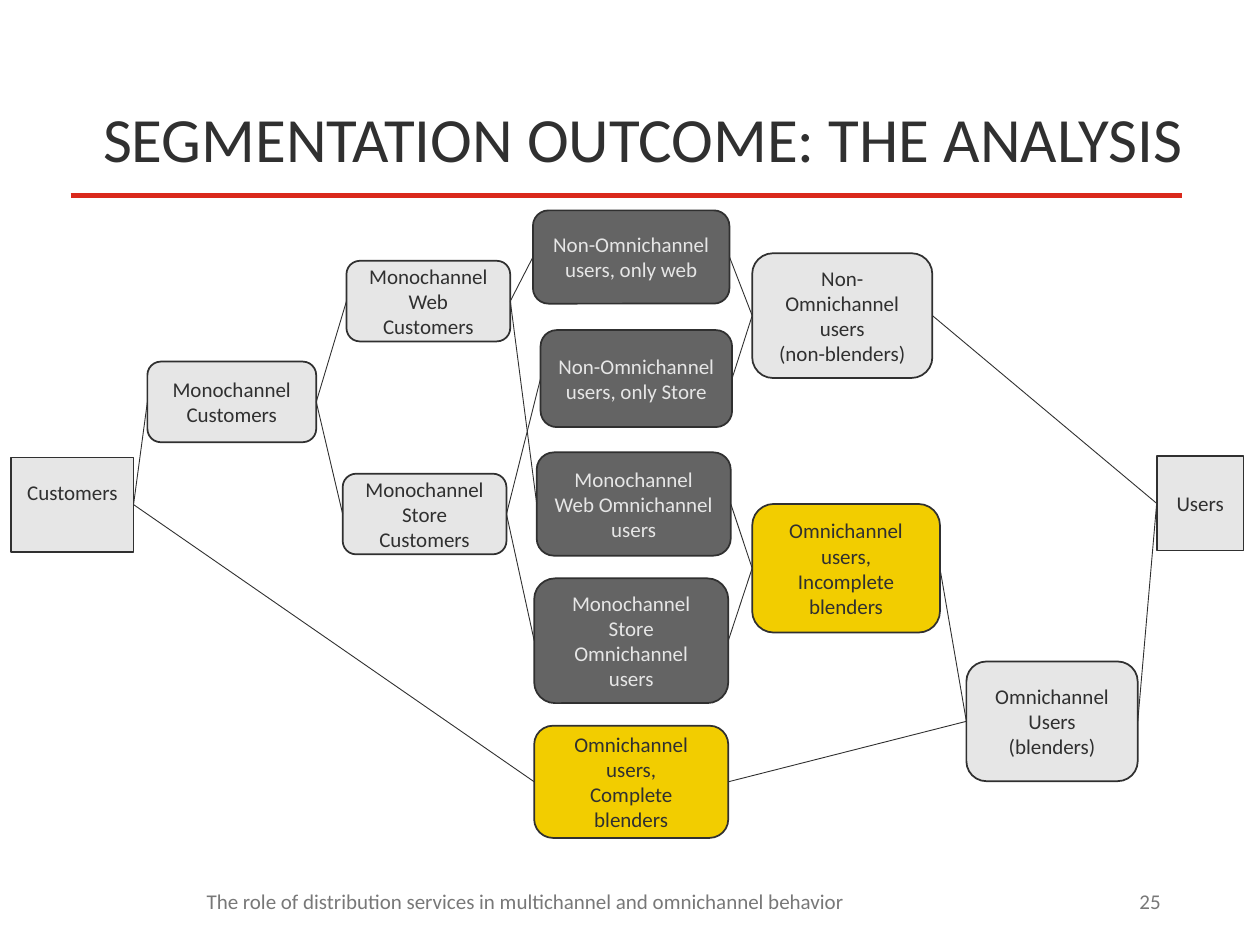
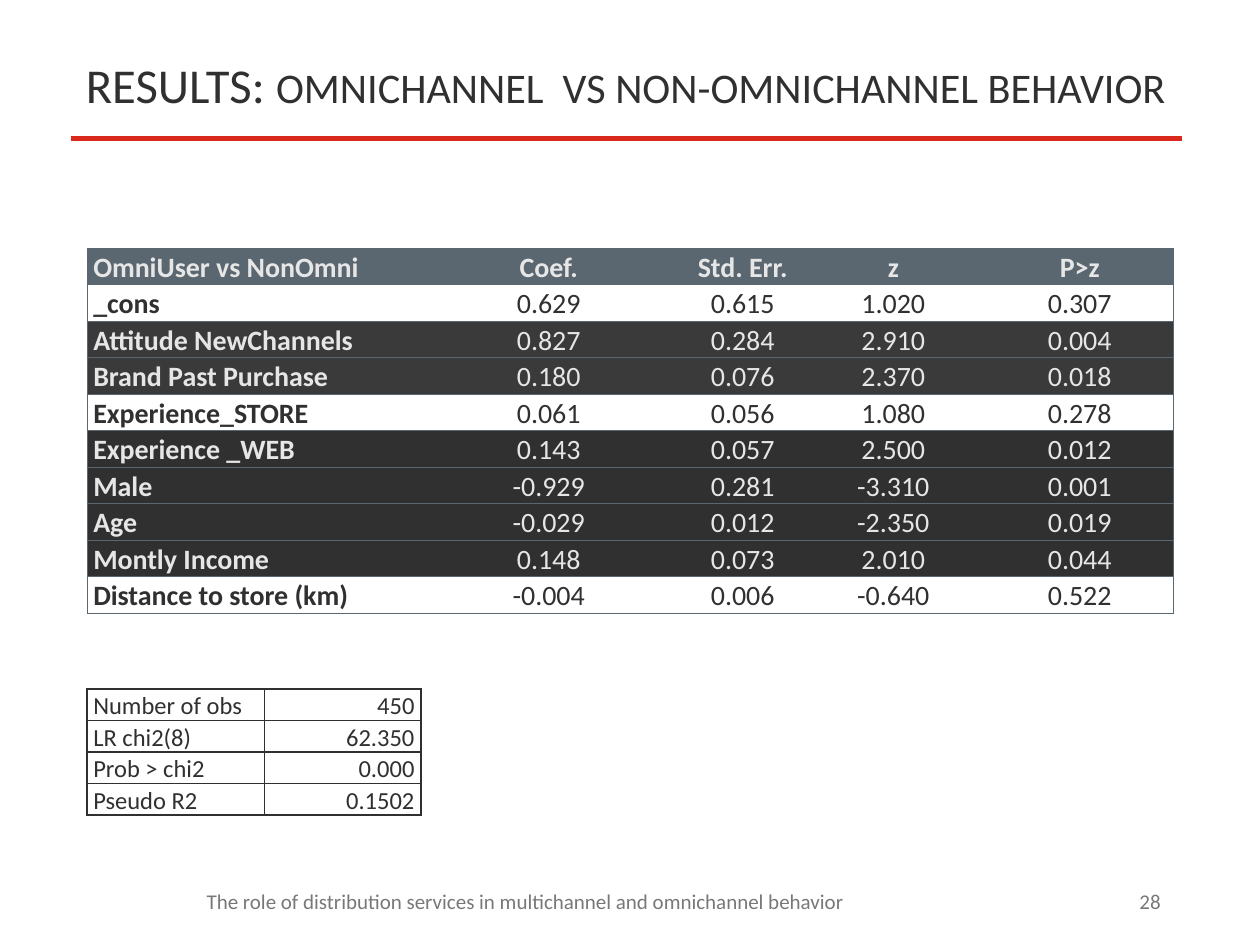
from lxml import etree
from pptx import Presentation
from pptx import util as u
from pptx.dml.color import RGBColor
from pptx.enum import shapes, text
from pptx.oxml import ns

PX = 9144
FONT = "Calibri"
FOOTER = "The role of distribution services in multichannel and omnichannel behavior"

WHITE = RGBColor(0xFF, 0xFF, 0xFF)
INK = RGBColor(0x30, 0x30, 0x30)
CHARCOAL = RGBColor(0x3A, 0x3A, 0x3A)
GRAY = RGBColor(0x64, 0x64, 0x64)
MUTED = RGBColor(0x78, 0x78, 0x78)
LIGHT = RGBColor(0xE6, 0xE6, 0xE6)
SLATE = RGBColor(0x5B, 0x67, 0x70)
YELLOW = RGBColor(0xF2, 0xCD, 0x00)
RED = RGBColor(0xDA, 0x29, 0x1C)

LEFT, CENTER, RIGHT = text.PP_ALIGN.LEFT, text.PP_ALIGN.CENTER, text.PP_ALIGN.RIGHT
MIDDLE, BOTTOM = text.MSO_ANCHOR.MIDDLE, text.MSO_ANCHOR.BOTTOM
RECT, ROUND = shapes.MSO_SHAPE.RECTANGLE, shapes.MSO_SHAPE.ROUNDED_RECTANGLE
LEFT_SITE, RIGHT_SITE = 1, 3


def px(*lengths):
    return [u.Emu(length * PX) for length in lengths]


def apply(target, **values):
    for name, value in values.items():
        setattr(target, name, value)


class Deck:
    def __init__(self):
        self.deck = Presentation()
        apply(self.deck, slide_width=u.Emu(1000 * PX), slide_height=u.Emu(750 * PX))
        self.page = None

    def add_page(self, number, title, frame, rule_y):
        self.page = self.deck.slides.add_slide(self.deck.slide_layouts[5])
        self.page.background.fill.solid()
        self.page.background.fill.fore_color.rgb = WHITE
        self.place_title(title, frame)
        self.line((56, rule_y), (938, rule_y), RED, 3)
        self.label(FOOTER, (98, 695, 638, 40), CENTER)
        self.label(str(number), (706, 695, 225, 40), RIGHT)

    def fill_text(self, frame, paragraphs, color, align, spacing=1.0, bold=False):
        for index, spans in enumerate(paragraphs):
            para = frame.paragraphs[0] if index == 0 else frame.add_paragraph()
            apply(para, alignment=align, line_spacing=spacing)
            for words, size in spans:
                span = para.add_run()
                span.text = words
                apply(span.font, name=FONT, size=u.Pt(size), bold=bold)
                span.font.color.rgb = color

    def place_title(self, spans, frame):
        title = self.page.shapes.title
        left, top, width, height = px(*frame)
        apply(title, left=left, top=top, width=width, height=height)
        apply(title.text_frame, word_wrap=True, vertical_anchor=MIDDLE,
              auto_size=text.MSO_AUTO_SIZE.NONE)
        self.fill_text(title.text_frame, [spans], INK, CENTER, 0.9)

    def label(self, words, frame, align):
        box = self.page.shapes.add_textbox(*px(*frame))
        apply(box.text_frame, word_wrap=True, vertical_anchor=MIDDLE)
        self.fill_text(box.text_frame, [[(words, 12)]], MUTED, align)

    def box(self, lines, frame, fill=LIGHT, kind=ROUND):
        box = self.page.shapes.add_shape(kind, *px(*frame))
        box.shadow.inherit = False
        box.fill.solid()
        box.fill.fore_color.rgb = fill
        box.line.color.rgb = INK
        box.line.width = u.Pt(1)
        apply(box.text_frame, word_wrap=True, vertical_anchor=MIDDLE)
        color = LIGHT if fill == GRAY else INK
        self.fill_text(box.text_frame, [[(line, 12)] for line in lines], color, CENTER)
        return box

    def line(self, start, end, color, width):
        line = self.page.shapes.add_connector(
            shapes.MSO_CONNECTOR.STRAIGHT, *px(*start, *end))
        line.line.color.rgb = color
        line.line.width = u.Pt(width)
        etree.SubElement(line._element.spPr, ns.qn("a:effectLst"))
        return line

    def link(self, source, target):
        line = self.line((0, 0), (0, 0), INK, 0.5)
        line.begin_connect(source, RIGHT_SITE)
        line.end_connect(target, LEFT_SITE)

    def table(self, rows, origin, widths, row_height):
        size = (sum(widths), row_height * len(rows))
        table = self.page.shapes.add_table(
            len(rows), len(widths), *px(*origin, *size)).table
        apply(table, first_row=False, horz_banding=False)
        for column, width in zip(table.columns, px(*widths)):
            column.width = width
        for row in table.rows:
            row.height = u.Emu(row_height * PX)
        return table

    def cell(self, cell, words, size, color, align, fill=None, bold=False):
        side, none = px(5, 0)
        apply(cell, margin_left=side, margin_right=side, margin_top=none,
              margin_bottom=none, vertical_anchor=BOTTOM)
        self.fill_text(cell.text_frame, [[(words, size)]], color, align, 1.07, bold)
        if fill is None:
            cell.fill.background()
        else:
            cell.fill.solid()
            cell.fill.fore_color.rgb = fill

    def borders(self, cell, sides, color, width):
        properties = cell._tc.get_or_add_tcPr()
        for index, side in enumerate("LRTB"):
            edge = etree.Element(ns.qn(f"a:ln{side}"), w=str(int(u.Pt(width))))
            if side in sides:
                paint = etree.SubElement(edge, ns.qn("a:solidFill"))
                etree.SubElement(paint, ns.qn("a:srgbClr"), val=str(color))
            else:
                etree.SubElement(edge, ns.qn("a:noFill"))
            properties.insert(index, edge)


BOXES = {
    "customers": (["Customers"], (9, 363, 97, 75), LIGHT, RECT),
    "mono": (["Monochannel Customers"], (117, 287, 134, 64)),
    "complete": (["Omnichannel users,", "Complete blenders"], (424, 576, 154, 89), YELLOW),
    "mono store": (["Monochannel Store Customers"], (272, 376, 130, 64)),
    "mono web": (["Monochannel Web Customers"], (275, 207, 130, 64)),
    "users": (["Users"], (918, 362, 69, 75), LIGHT, RECT),
    "non-blenders": (["Non-Omnichannel users", "(non-blenders)"], (597, 201, 143, 99)),
    "blenders": (["Omnichannel Users (blenders)"], (767, 525, 136, 95)),
    "only store": (["Non-Omnichannel users, only Store"], (429, 262, 152, 77), GRAY),
    "only web": (["Non-Omnichannel users, only web"], (423, 167, 156, 74), GRAY),
    "incomplete": (["Omnichannel users,", "Incomplete blenders"], (597, 400, 149, 102), YELLOW),
    "web omni": (["Monochannel Web Omnichannel users"], (426, 359, 154, 82), GRAY),
    "store omni": (["Monochannel Store Omnichannel users"], (424, 459, 154, 99), GRAY),
}

LINKS = {
    "customers": ["mono", "complete"],
    "mono": ["mono web", "mono store"],
    "mono web": ["only web", "web omni"],
    "mono store": ["only store", "store omni"],
    "only web": ["non-blenders"],
    "only store": ["non-blenders"],
    "web omni": ["incomplete"],
    "store omni": ["incomplete"],
    "incomplete": ["blenders"],
    "complete": ["blenders"],
    "non-blenders": ["users"],
    "blenders": ["users"],
}

COEFFICIENTS = [
    (SLATE, "OmniUser vs NonOmni", "Coef.", "Std. Err.", "z", "P>z"),
    (None, "_cons", "0.629", "0.615", "1.020", "0.307"),
    (CHARCOAL, "Attitude NewChannels", "0.827", "0.284", "2.910", "0.004"),
    (CHARCOAL, "Brand Past Purchase", "0.180", "0.076", "2.370", "0.018"),
    (None, "Experience_STORE", "0.061", "0.056", "1.080", "0.278"),
    (INK, "Experience _WEB", "0.143", "0.057", "2.500", "0.012"),
    (INK, "Male", "-0.929", "0.281", "-3.310", "0.001"),
    (INK, "Age", "-0.029", "0.012", "-2.350", "0.019"),
    (INK, "Montly Income", "0.148", "0.073", "2.010", "0.044"),
    (None, "Distance to store (km)", "-0.004", "0.006", "-0.640", "0.522"),
]

FIT = [
    ("Number of obs", "450"),
    ("LR chi2(8)", "62.350"),
    ("Prob > chi2", "0.000"),
    ("Pseudo R2", "0.1502"),
]


def segmentation_page(deck):
    deck.add_page(25, [("SEGMENTATION OUTCOME: THE ANALYSIS", 36)], (69, 40, 883, 145), 155)
    boxes = {name: deck.box(*values) for name, values in BOXES.items()}
    boxes["customers"].text_frame.margin_bottom = u.Emu(25 * PX)
    for source, targets in LINKS.items():
        for target in targets:
            deck.link(boxes[source], boxes[target])


def results_page(deck):
    title = [("RESULTS: ", 27.8), ("OMNICHANNEL  VS NON-OMNICHANNEL BEHAVIOR", 24.1)]
    deck.add_page(28, title, (48, 30, 898, 79), 110)

    table = deck.table(COEFFICIENTS, (69, 197), (258, 217, 91, 148, 148), 29)
    for r, (fill, *values) in enumerate(COEFFICIENTS):
        for c, words in enumerate(values):
            cell = table.cell(r, c)
            deck.cell(cell, words, 16, LIGHT if fill else INK, CENTER if c else LEFT,
                      fill, r == 0 or c == 0)
            sides = "TB" + ("L" if c == 0 else "") + ("R" if c == len(values) - 1 else "")
            deck.borders(cell, sides, SLATE, 0.5)

    table = deck.table(FIT, (69, 547), (141, 124), 25)
    for r, values in enumerate(FIT):
        for c, words in enumerate(values):
            cell = table.cell(r, c)
            deck.cell(cell, words, 14, INK, RIGHT if c else LEFT)
            deck.borders(cell, "LRTB", INK, 1)


def main():
    deck = Deck()
    segmentation_page(deck)
    results_page(deck)
    deck.deck.save("out.pptx")


if __name__ == "__main__":
    main()
